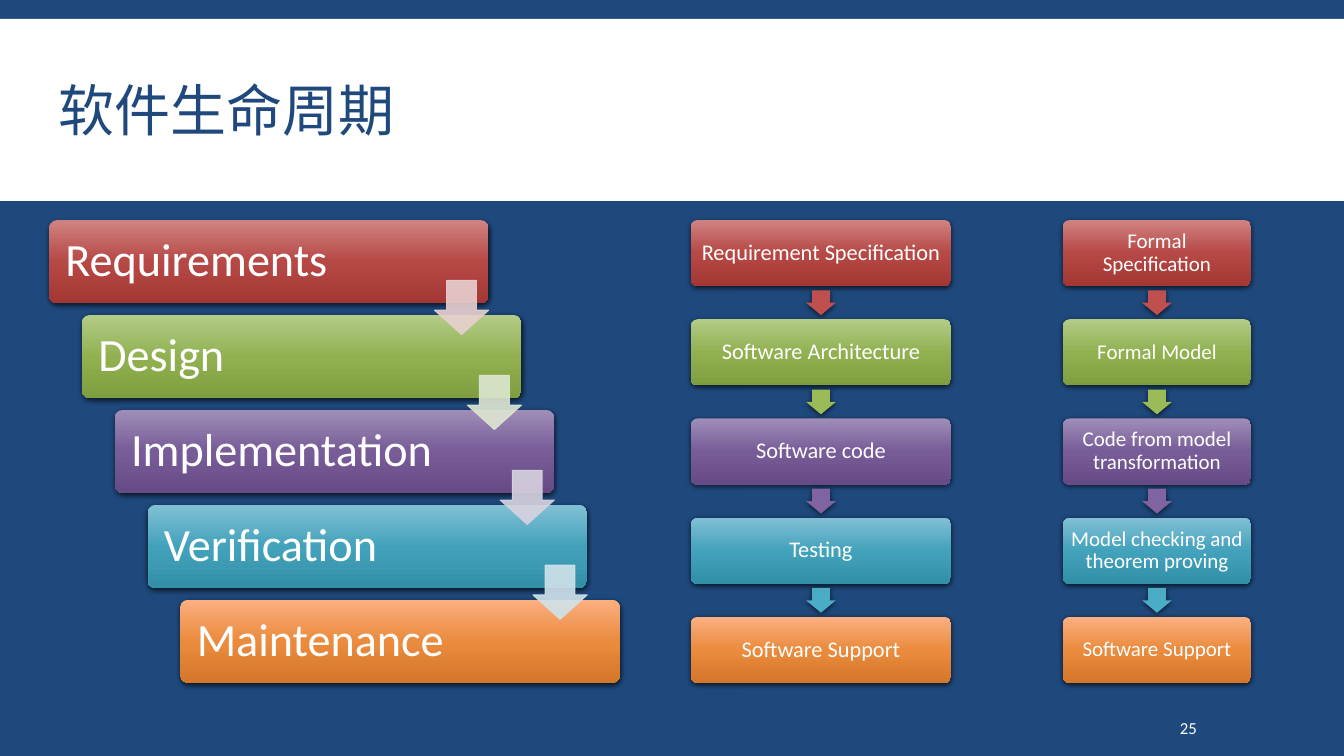
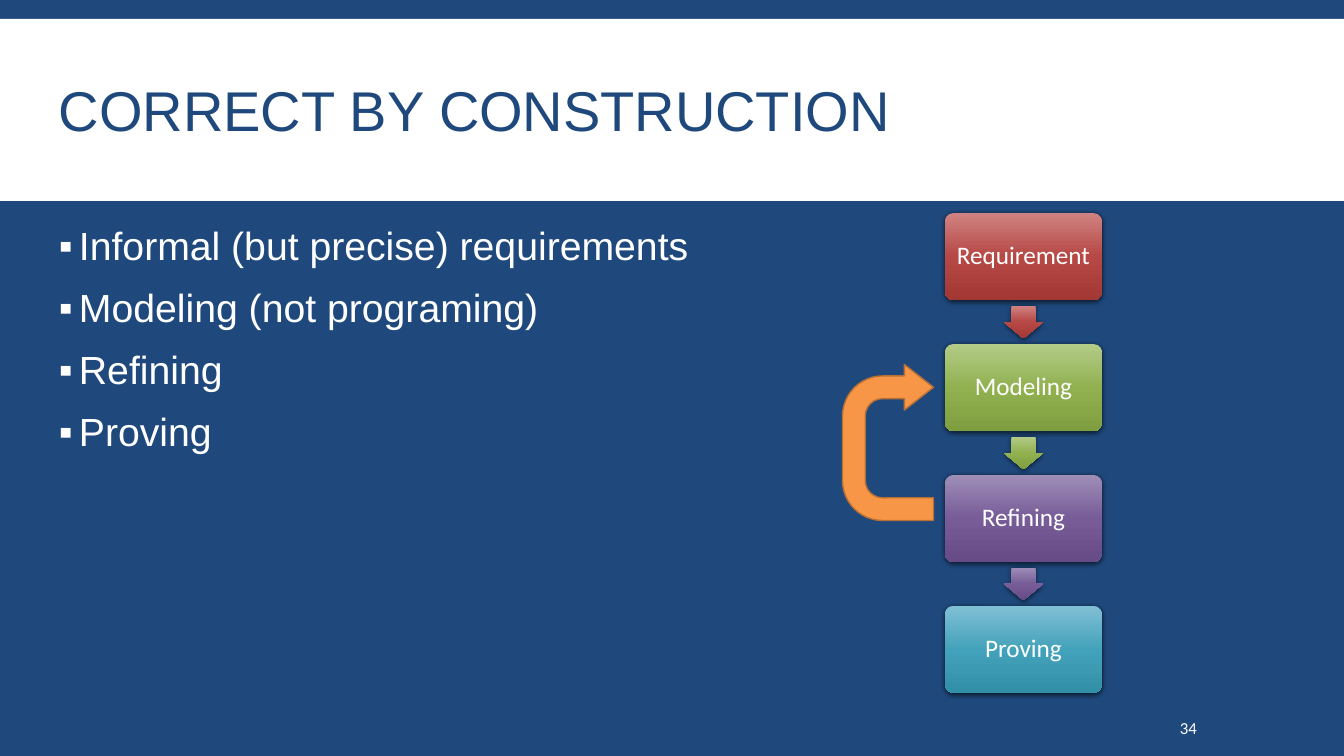
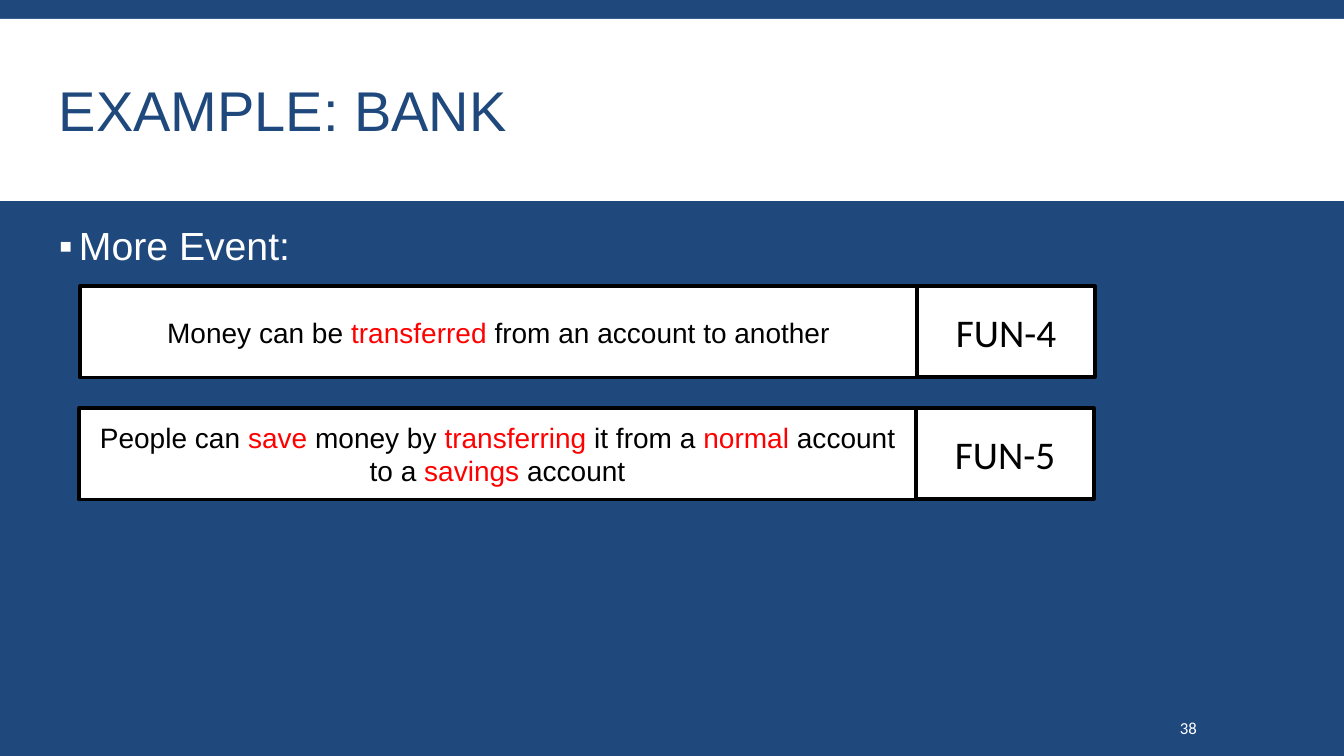
import pptx
import pptx.dml.color
import pptx.enum.shapes
import pptx.enum.text
import pptx.oxml
import pptx.oxml.ns
import pptx.util

PX = 914400 / 100.8
GEO = pptx.enum.shapes.MSO_SHAPE
ALIGN = pptx.enum.text.PP_ALIGN
ANCHOR = pptx.enum.text.MSO_ANCHOR
HUES = ["red", "green", "purple", "teal", "orange"]
INK = {
    "navy": "1F497D", "white": "FFFFFF", "black": "000000", "alert": "FF0000",
    "red": "C0504D", "red top": "D08382", "red mid": "B64845",
    "red low": "A33734", "red pale": "E8D0D0",
    "green": "9BBB59", "green top": "B3CC88", "green mid": "91B151",
    "green low": "7F9E3F", "green pale": "DEE7D1",
    "purple": "8064A2", "purple top": "9F8EB8", "purple mid": "775C98",
    "purple low": "664B87", "purple pale": "D8D3E0",
    "teal": "4BACC6", "teal top": "81C0D5", "teal mid": "43A2BB",
    "teal low": "328FA8", "teal pale": "D0E3EA",
    "orange": "F79646", "orange top": "FCAF81", "orange mid": "EA8B3D",
    "orange low": "D4772A", "orange edge": "B76F34",
}


def px(n):
    """Turn pixels into EMU."""
    return pptx.util.Emu(round(n * PX))


def rgb(name):
    """Look up a colour."""
    return pptx.dml.color.RGBColor.from_string(INK[name])


def node(tag, **attrs):
    """Make one drawing element."""
    item = pptx.oxml.parse_xml(f"<a:{tag} {pptx.oxml.ns.nsdecls('a')}/>")
    for key, val in attrs.items():
        item.set(key, str(val))
    return item


def tint(name, alpha=None):
    """Make a colour element, see-through if alpha is given."""
    item = node("srgbClr", val=INK[name])
    if alpha:
        item.append(node("alpha", val=alpha * 1000))
    return item


def shape(slide, kind, box, fill=None, line=None, width=1, adj=()):
    """Draw a flat preset shape in a box."""
    item = slide.shapes.add_shape(kind, *map(px, box))
    item.shadow.inherit = False
    for i, val in enumerate(adj):
        item.adjustments[i] = val
    if fill:
        item.fill.solid()
        item.fill.fore_color.rgb = rgb(fill)
    if line:
        item.line.color.rgb = rgb(line)
        item.line.width = pptx.util.Pt(width)
    else:
        item.line.fill.background()
    return item


def shade(item, hue):
    """Fill a shape with the three-stop gradient of a hue."""
    grad, stops = node("gradFill", rotWithShape=1), node("gsLst")
    for pos, tone in ((0, "top"), (50, "mid"), (100, "low")):
        stop = node("gs", pos=pos * 1000)
        stop.append(tint(f"{hue} {tone}"))
        stops.append(stop)
    grad.extend([stops, node("lin", ang=5400000, scaled=0)])
    item._element.spPr.insert(2, grad)


def lift(item):
    """Give a shape a soft shadow below."""
    drop = node("outerShdw", blurRad=50800, dist=15000, dir=5400000,
                algn="ctr", rotWithShape=0)
    drop.append(tint("black", 68))
    item._element.spPr.find(pptx.oxml.ns.qn("a:effectLst")).append(drop)


def fade(item, alpha):
    """Make the fill and line of a shape see-through."""
    for clr in item._element.spPr.iter(pptx.oxml.ns.qn("a:srgbClr")):
        clr.append(node("alpha", val=alpha * 1000))


def frame(item, inset=(10, 5, 10, 5), anchor=ANCHOR.MIDDLE):
    """Prepare the text frame of a shape."""
    text = item.text_frame
    text.word_wrap = True
    text.vertical_anchor = anchor
    text.margin_left, text.margin_top, text.margin_right, text.margin_bottom = map(px, inset)
    return text


def style(para, size, face, ink=None, align=ALIGN.LEFT, space=1):
    """Set the font and layout of a paragraph."""
    para.alignment = align
    para.line_spacing = space
    para.font.size = pptx.util.Pt(size)
    para.font.name = face
    if ink:
        para.font.color.rgb = rgb(ink)


def label(slide, box, words, size, face, ink, space=1, inset=(10, 5, 10, 5)):
    """Place one line of plain text."""
    text = frame(slide.shapes.add_textbox(*map(px, box)), inset)
    text.text = words
    style(text.paragraphs[0], size, face, ink, space=space)


def base(deck, title, number):
    """Add a slide with its band, title and number."""
    slide = deck.slides.add_slide(deck.slide_layouts[6])
    shape(slide, GEO.RECTANGLE, (0, 19, 1344, 182), "white")
    label(slide, (49, 31, 1243, 166), title, 40, "Arial", "navy", 0.85)
    label(slide, (1175, 708, 118, 40), number, 12, "Calibri", "white",
          inset=(5, 5, 10, 5))
    return slide


def card(slide, box, words, hue, size, inset, align):
    """Draw a raised, shaded card with text."""
    item = shape(slide, GEO.ROUNDED_RECTANGLE, box, adj=(0.1,))
    shade(item, hue)
    lift(item)
    text = frame(item, (inset,) * 4)
    text.text = words
    style(text.paragraphs[0], size, "Calibri", "white", align, 0.9)


def chain(slide, box, names, size, inset, flat=True):
    """Stack cards in a box, with an arrow in each gap."""
    x, y, w, h = box
    tall = h / (1.5 * len(names) - 0.5)
    wide, high = 0.45 * tall, 0.375 * tall
    for i, (name, hue) in enumerate(zip(names, HUES)):
        top = y + 1.5 * tall * i
        card(slide, (x, top, w, tall), name, hue, size, inset, ALIGN.CENTER)
        if i < len(names) - 1:
            spot = (x + (w - wide) / 2, top + 1.25 * tall - high / 2, wide, high)
            item = shape(slide, GEO.DOWN_ARROW, spot, hue if flat else None,
                         adj=(0.6, 0.5))
            if not flat:
                shade(item, hue)
            lift(item)


def stairs(slide, box, names):
    """Lay cards down a stair, with a pale arrow on each step."""
    x, y, w, h = box
    last = len(names) - 1
    wide, tall = 0.77 * w, 0.18 * h
    side = 0.65 * tall
    spots = [(x + (w - wide) * i / last, y + (h - tall) * i / last)
             for i in range(len(names))]
    for (left, top), name, hue in zip(spots, names, HUES):
        card(slide, (left, top, wide, tall), name, hue, 33, 14, ALIGN.LEFT)
    for (left, top), hue in zip(spots[:-1], HUES):
        spot = (left + wide - side, top + 0.725 * tall, side, side)
        pale = f"{hue} pale"
        fade(shape(slide, GEO.DOWN_ARROW, spot, pale, pale, 0.75, (0.55, 0.45)), 90)


def points(slide, box, lines):
    """Write a bullet list."""
    text = frame(slide.shapes.add_textbox(*map(px, box)), anchor=ANCHOR.TOP)
    for i, line in enumerate(lines):
        para = text.paragraphs[0] if i == 0 else text.add_paragraph()
        para.text = line
        para.space_before = pptx.util.Pt(12 if i else 0)
        para.space_after = pptx.util.Pt(2)
        para.line_spacing = 0.9
        props = para._p.get_or_add_pPr()
        props.set("marL", str(px(20)))
        props.set("indent", str(-px(20)))
        clr = node("buClr")
        clr.append(tint("white"))
        props.extend([clr, node("buFont", typeface="Arial"), node("buChar", char="▪")])
        style(para, 28, "Arial", "white", space=0.9)


def rule(slide, box, words, code):
    """Draw a requirement, its *marked* words in red, beside its code."""
    x, y, w, h = box
    tag = 178
    cells = (((x, y, w - tag, h), words, 20, "Arial"),
             ((x + w - tag, y, tag, h - 1), code, 28, "Calibri"))
    for spot, line, size, face in cells:
        item = shape(slide, GEO.RECTANGLE, spot, "white", "black", 2.25)
        para = frame(item).paragraphs[0]
        for i, part in enumerate(line.split("*")):
            run = para.add_run()
            run.text = part
            run.font.color.rgb = rgb("alert" if i % 2 else "black")
        style(para, size, face, align=ALIGN.CENTER)


def cycle(deck):
    """Build the life cycle slide."""
    slide = base(deck, "软件生命周期", "25")
    chain(slide, (691, 220, 260, 463),
          ["Requirement Specification", "Software Architecture", "Software code",
           "Testing", "Software Support"], 16, 7)
    stairs(slide, (49, 220, 571, 463),
           ["Requirements", "Design", "Implementation", "Verification", "Maintenance"])
    chain(slide, (1063, 220, 188, 463),
          ["Formal Specification", "Formal Model", "Code from model transformation",
           "Model checking and theorem proving", "Software Support"], 15, 6)


def method(deck):
    """Build the construction slide."""
    slide = base(deck, "CORRECT BY CONSTRUCTION", "34")
    points(slide, (49, 222, 1243, 464),
           ["Informal (but precise) requirements", "Modeling (not programing)",
            "Refining", "Proving"])
    chain(slide, (945, 213, 157, 480),
          ["Requirement", "Modeling", "Refining", "Proving"], 18, 7, False)
    back = shape(slide, GEO.U_TURN_ARROW, (810, 397, 156, 91), "orange",
                 "orange edge", 1, (0.25, 0.25, 0.32, 0.44, 1))
    back.rotation = 270


def bank(deck):
    """Build the bank example slide."""
    slide = base(deck, "EXAMPLE: BANK", "38")
    points(slide, (49, 222, 1243, 464), ["More Event:"])
    rule(slide, (80, 286, 1015, 92),
         "Money can be *transferred* from an account to another", "FUN-4")
    rule(slide, (79, 408, 1015, 92),
         "People can *save* money by *transferring* it from a *normal* account"
         " to a *savings* account", "FUN-5")


def main():
    """Build and save the deck."""
    deck = pptx.Presentation()
    deck.slide_width, deck.slide_height = px(1344), px(756)
    ground = deck.slide_master.background.fill
    ground.solid()
    ground.fore_color.rgb = rgb("navy")
    for build in (cycle, method, bank):
        build(deck)
    deck.save("out.pptx")


if __name__ == "__main__":
    main()
